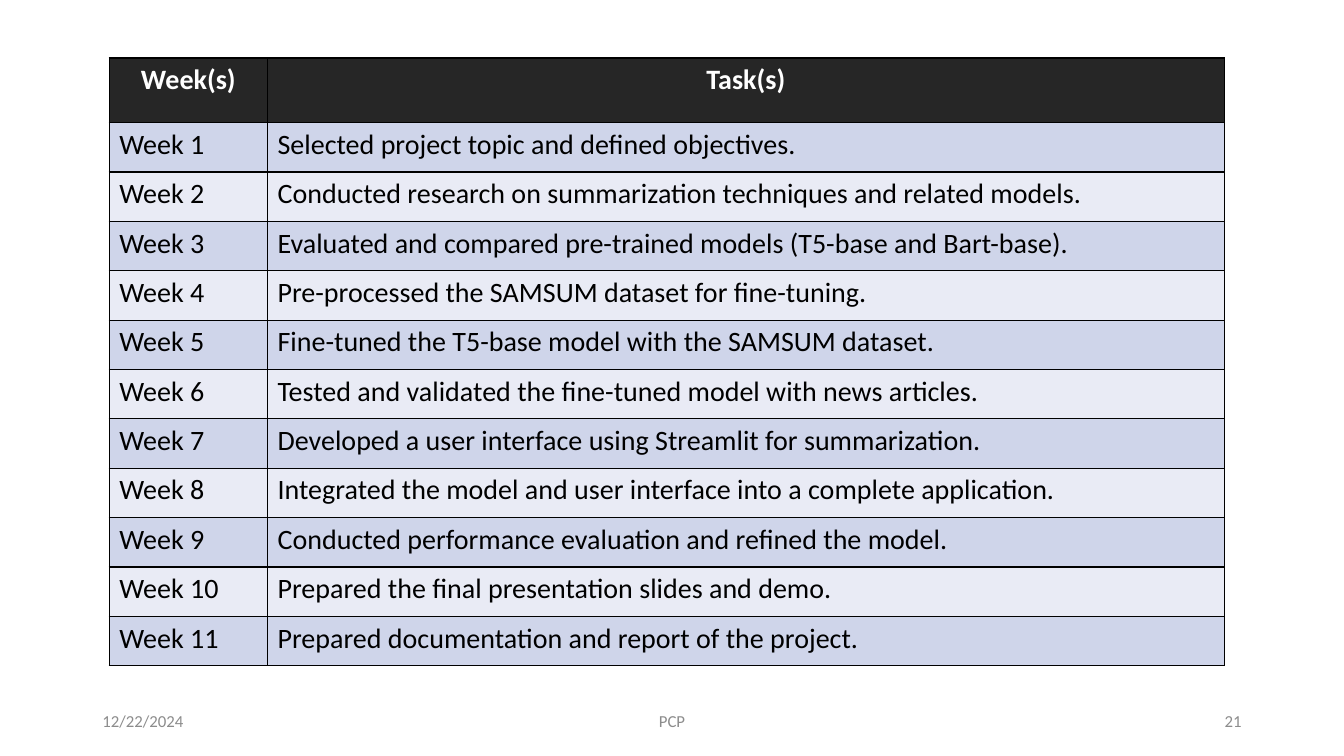
from dataclasses import dataclass

from pptx import Presentation
from pptx import util as u
from pptx.dml.color import RGBColor
from pptx.enum import text as t
from pptx.oxml import parse_xml
from pptx.oxml.ns import nsdecls

LEFT, MID, RIGHT = t.PP_ALIGN.LEFT, t.PP_ALIGN.CENTER, t.PP_ALIGN.RIGHT


@dataclass(frozen=True)
class Theme:
    font: str = "Calibri"
    body: int = 20
    small: int = 12
    ink: str = "000000"
    pale: str = "FFFFFF"
    grey: str = "8C8C8C"
    head: str = "262626"
    bands: tuple = ("CFD5EA", "E9EBF5")
    rule: int = 1


def write(frame, words, *, font, size, color, bold=False, align=LEFT):
    """Put one formatted paragraph in a text frame."""
    par = frame.paragraphs[0]
    par.alignment = align
    run = par.add_run()
    run.text = words
    run.font.name = font
    run.font.size = u.Pt(size)
    run.font.bold = bold
    run.font.color.rgb = RGBColor.from_string(color)


class Deck:
    """Style and current slide, on a grid of 160 columns by 90 rows."""

    COLS, ROWS = 160, 90

    def __init__(self, theme):
        self.theme = theme
        self.show = Presentation()
        self.show.slide_width = u.Inches(13.33)
        self.show.slide_height = u.Inches(7.5)
        self.slide = self.show.slides.add_slide(self.show.slide_layouts[6])

    def col(self, n):
        return round(self.show.slide_width * n / self.COLS)

    def row(self, n):
        return round(self.show.slide_height * n / self.ROWS)

    def label(self, words, x, y, w, h, align):
        box = self.slide.shapes.add_textbox(
            self.col(x), self.row(y), self.col(w), self.row(h))
        frame = box.text_frame
        frame.word_wrap = True
        frame.vertical_anchor = t.MSO_ANCHOR.MIDDLE
        write(frame, words, font=self.theme.font, size=self.theme.small,
              color=self.theme.grey, align=align)

    def edge(self, cell):
        props = cell._tc.get_or_add_tcPr()
        for i, side in enumerate(("lnL", "lnR", "lnT", "lnB")):
            props.insert(i, parse_xml(
                f'<a:{side} {nsdecls("a")} w="{u.Pt(self.theme.rule)}">'
                f'<a:solidFill><a:srgbClr val="{self.theme.ink}"/></a:solidFill>'
                f'</a:{side}>'))

    def table(self, lines, x, y, wide, top, step):
        """First line is the header; the rest alternate between bands."""
        look = self.theme
        tall = [top] + [step] * (len(lines) - 1)
        grid = self.slide.shapes.add_table(
            len(lines), len(wide), self.col(x), self.row(y),
            self.col(sum(wide)), self.row(sum(tall))).table
        for c, w in enumerate(wide):
            grid.columns[c].width = self.col(w)
        for r, line in enumerate(lines):
            grid.rows[r].height = self.row(tall[r])
            head = r == 0
            fill = look.head if head else look.bands[(r - 1) % 2]
            for c, words in enumerate(line):
                cell = grid.cell(r, c)
                cell.fill.solid()
                cell.fill.fore_color.rgb = RGBColor.from_string(fill)
                self.edge(cell)
                write(cell.text_frame, words, font=look.font, size=look.body,
                      color=look.pale if head else look.ink,
                      bold=head, align=MID if head else LEFT)


TASKS = (
    "Selected project topic and defined objectives.",
    "Conducted research on summarization techniques and related models.",
    "Evaluated and compared pre-trained models (T5-base and Bart-base).",
    "Pre-processed the SAMSUM dataset for fine-tuning.",
    "Fine-tuned the T5-base model with the SAMSUM dataset.",
    "Tested and validated the fine-tuned model with news articles.",
    "Developed a user interface using Streamlit for summarization.",
    "Integrated the model and user interface into a complete application.",
    "Conducted performance evaluation and refined the model.",
    "Prepared the final presentation slides and demo.",
    "Prepared documentation and report of the project.",
)


def main():
    deck = Deck(Theme())

    # Footer: date, title and page number
    for words, x, w, align in (("12/22/2024", 11, 36, LEFT),
                               ("PCP", 53, 54, MID),
                               ("21", 113, 36, RIGHT)):
        deck.label(words, x, 83.4, w, 4.8, align)

    # Weekly plan
    weeks = [(f"Week {n}", task) for n, task in enumerate(TASKS, 1)]
    deck.table([("Week(s)", "Task(s)")] + weeks,
               x=13, y=6.9, wide=(18.85, 113.9), top=7.7, step=5.88)

    deck.show.save("out.pptx")


if __name__ == "__main__":
    main()
